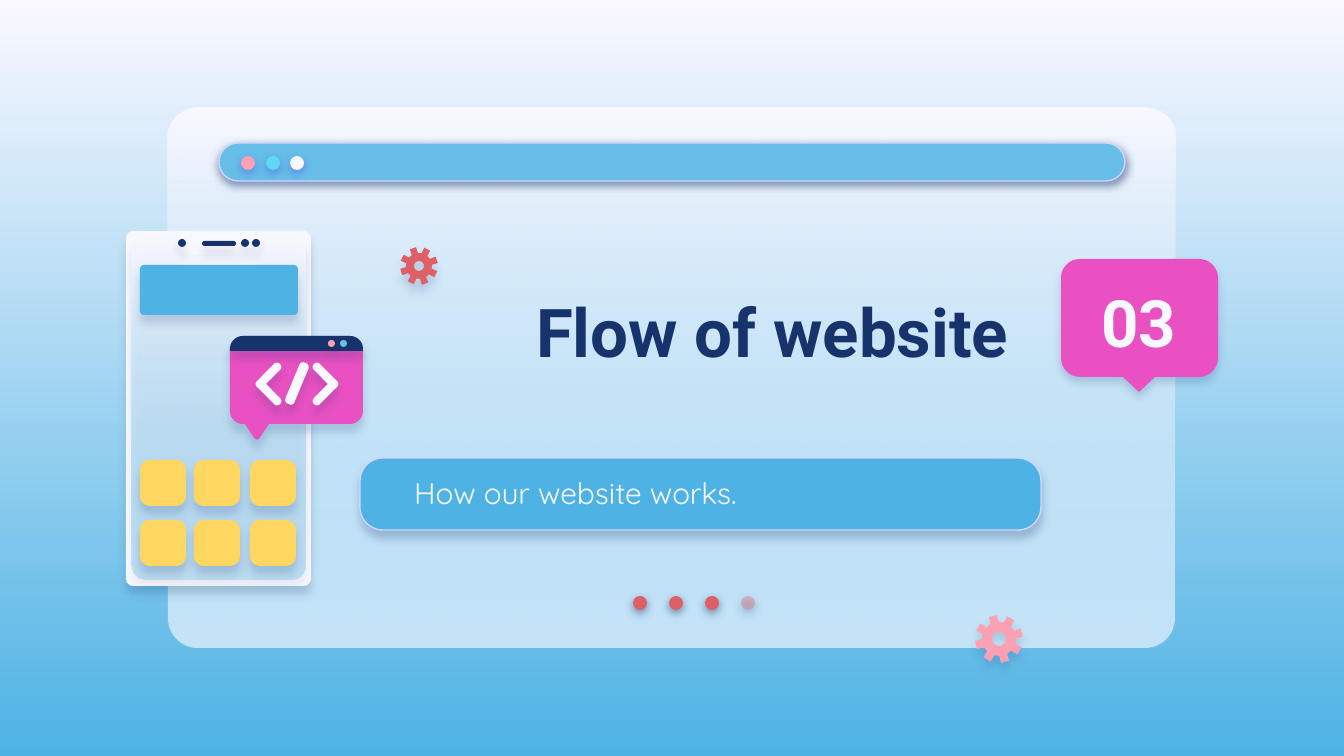
import math
from typing import NamedTuple, Optional

from lxml import etree
from pptx import Presentation
from pptx import util as u
from pptx.dml.color import RGBColor
from pptx.enum import shapes, text
from pptx.oxml.ns import qn

PX = 914400 / 134.4
NAVY, SKY, BLUE, SNOW = "17336B", "4EB3E4", "66BEE9", "F9F8FF"
MAGENTA, ROSE, RED, YELLOW, LILAC = "E951C2", "FDA0B4", "DF5F69", "FFD65F", "D2D6FF"


class Shadow(NamedTuple):
    color: str
    alpha: int
    distance: float


class Fade(NamedTuple):
    top: str
    bottom: str
    bottom_alpha: int = 100


class Box(NamedTuple):
    left: int
    top: int
    width: int
    height: int


class Corner(NamedTuple):
    x: int
    y: int
    radius: int = 0


class Label(NamedTuple):
    box: Box
    words: str
    size: int
    font: str
    color: str
    bold: bool
    align: text.PP_ALIGN
    anchor: text.MSO_ANCHOR


class Gear(NamedTuple):
    x: int
    y: int
    outer: int
    root: int
    hole: int
    turn: int
    color: str
    shadow: Shadow


BAR_GLOW = Shadow(NAVY, 50, 1.5)
DOT_GLOW = Shadow("5352EE", 50, 1.5)
PHONE_GLOW = Shadow(NAVY, 16, 4.5)
GLASS = Fade(SNOW, BLUE, 35)


def emu(px: float) -> int:
    return round(px * PX)


def rgb(color: str) -> RGBColor:
    return RGBColor.from_string(color)


def set_alpha(color_node, percent: int) -> None:
    etree.SubElement(color_node, qn("a:alpha"), val=str(percent * 1000))


def fade(fill, colors: Fade) -> None:
    fill.gradient()
    fill.gradient_angle = 270
    for stop, color in zip(fill.gradient_stops, colors[:2]):
        stop.color.rgb = rgb(color)
    if colors.bottom_alpha < 100:
        set_alpha(list(fill._xPr.iter(qn("a:srgbClr")))[-1], colors.bottom_alpha)


def finish(shape, fill, shadow: Optional[Shadow] = None, outline: str = "", alpha: int = 100) -> None:
    if isinstance(fill, Fade):
        fade(shape.fill, fill)
    else:
        shape.fill.solid()
        shape.fill.fore_color.rgb = rgb(fill)
        if alpha < 100:
            set_alpha(shape._element.spPr.find(".//" + qn("a:srgbClr")), alpha)
    if outline:
        shape.line.color.rgb = rgb(outline)
        shape.line.width = u.Pt(0.75)
    else:
        shape.line.fill.background()
    shape.shadow.inherit = False
    if shadow:
        effects = shape._element.spPr.find(qn("a:effectLst"))
        cast = etree.SubElement(effects, qn("a:outerShdw"), blurRad=str(u.Pt(4.5)),
                                dist=str(u.Pt(shadow.distance)), dir="5400000",
                                algn="bl", rotWithShape="0")
        set_alpha(etree.SubElement(cast, qn("a:srgbClr"), val=shadow.color), shadow.alpha)


def panel(slide, box: Box, radius: float, fill, shadow: Optional[Shadow] = None, outline: str = "") -> None:
    shape = slide.shapes.add_shape(shapes.MSO_SHAPE.ROUNDED_RECTANGLE, *map(emu, box))
    shape.adjustments[0] = min(0.5, radius / min(box.width, box.height))
    finish(shape, fill, shadow, outline)


def dot(slide, left: int, top: int, size: int, color: str, shadow: Optional[Shadow], alpha: int = 100) -> None:
    shape = slide.shapes.add_shape(shapes.MSO_SHAPE.OVAL, *map(emu, (left, top, size, size)))
    finish(shape, color, shadow, alpha=alpha)


def trace(slide, contours: list, fill, shadow: Shadow) -> None:
    rings = [[(emu(x), emu(y)) for x, y in ring] for ring in contours]
    builder = slide.shapes.build_freeform(*rings[0][0], scale=1.0)
    builder.add_line_segments(rings[0][1:], close=True)
    for ring in rings[1:]:
        builder.move_to(*ring[0])
        builder.add_line_segments(ring[1:], close=True)
    finish(builder.convert_to_shape(), fill, shadow)


def rounded(corners: list, steps: int = 8) -> list:
    points = []
    for i, corner in enumerate(corners):
        if not corner.radius:
            points.append((corner.x, corner.y))
            continue
        ends = []
        for near in (corners[i - 1], corners[(i + 1) % len(corners)]):
            share = corner.radius / math.hypot(near.x - corner.x, near.y - corner.y)
            ends.append(((near.x - corner.x) * share, (near.y - corner.y) * share))
        (ax, ay), (bx, by) = ends
        for step in range(steps + 1):
            t = step / steps
            a = (1 - t) ** 3 + 1.35 * t * (1 - t) ** 2
            b = t ** 3 + 1.35 * t ** 2 * (1 - t)
            points.append((corner.x + a * ax + b * bx, corner.y + a * ay + b * by))
    return points


def gear(slide, wheel: Gear) -> None:
    def polar(radius: int, degrees: float) -> tuple:
        angle = math.radians(degrees)
        return wheel.x + radius * math.sin(angle), wheel.y - radius * math.cos(angle)

    profile = ((wheel.root, -14), (wheel.outer, -10), (wheel.outer, 10), (wheel.root, 14))
    teeth = [polar(radius, wheel.turn + 45 * tooth + offset)
             for tooth in range(8) for radius, offset in profile]
    hole = [polar(wheel.hole, -15 * step) for step in range(24)]
    trace(slide, [teeth, hole], wheel.color, wheel.shadow)


def write(slide, label: Label) -> None:
    frame = slide.shapes.add_textbox(*map(emu, label.box)).text_frame
    frame.word_wrap = True
    frame.vertical_anchor = label.anchor
    frame.margin_left = frame.margin_right = frame.margin_top = frame.margin_bottom = u.Inches(0.1)
    paragraph = frame.paragraphs[0]
    paragraph.alignment = label.align
    run = paragraph.add_run()
    run.text = label.words
    run.font.size, run.font.name, run.font.bold = u.Pt(label.size), label.font, label.bold
    run.font.color.rgb = rgb(label.color)


def browser(slide) -> None:
    window = Box(168, 108, 1007, 540)
    for fill in (SNOW, GLASS):
        panel(slide, window, 30, fill)
    panel(slide, Box(219, 143, 906, 38), 19, BLUE, BAR_GLOW, LILAC)
    for left, color in zip((241, 266, 290), (ROSE, "60D8F4", SNOW)):
        dot(slide, left, 156, 14, color, DOT_GLOW)
    for page in range(3):
        dot(slide, 633 + 36 * page, 596, 14, RED, BAR_GLOW)
    dot(slide, 741, 596, 14, "E27B83", BAR_GLOW, 44)


def phone(slide) -> None:
    panel(slide, Box(126, 231, 185, 355), 7, SNOW, PHONE_GLOW)
    screen = [Corner(132, 237, 15), Corner(173, 237), Corner(173, 254, 9), Corner(265, 254, 9),
              Corner(265, 237), Corner(306, 237, 15), Corner(306, 580, 15), Corner(132, 580, 15)]
    trace(slide, [rounded(screen)], GLASS, PHONE_GLOW)
    for left in (178, 241, 252):
        dot(slide, left, 239, 8, NAVY, PHONE_GLOW)
    panel(slide, Box(202, 241, 34, 5), 3, NAVY, PHONE_GLOW)
    panel(slide, Box(140, 265, 158, 50), 4, SKY, PHONE_GLOW)
    for top in (460, 520):
        for left in (140, 194, 250):
            panel(slide, Box(left, top, 46, 46), 10, YELLOW, PHONE_GLOW)


def code_bubble(slide) -> None:
    bubble = [Corner(230, 336, 13), Corner(363, 336, 13), Corner(363, 424, 13), Corner(269, 424),
              Corner(257, 442, 5), Corner(245, 424), Corner(230, 424, 13)]
    header = [Corner(230, 336, 13), Corner(363, 336, 13), Corner(363, 351), Corner(230, 351)]
    trace(slide, [rounded(bubble)], MAGENTA, PHONE_GLOW)
    trace(slide, [rounded(header)], NAVY, PHONE_GLOW)
    dot(slide, 328, 340, 7, ROSE, PHONE_GLOW)
    dot(slide, 340, 340, 7, BLUE, None)
    opening = [Corner(277, 361, 4), Corner(254, 384, 4), Corner(277, 407, 4),
               Corner(283, 401, 4), Corner(266, 384), Corner(283, 367, 4)]
    slash = [Corner(301, 361, 4), Corner(310, 365, 4), Corner(293, 406, 4), Corner(284, 402, 4)]
    closing = [Corner(594 - x, y, radius) for x, y, radius in opening]
    for glyph in (opening, slash, closing):
        trace(slide, [rounded(glyph)], SNOW, PHONE_GLOW)


def main() -> None:
    deck = Presentation()
    deck.slide_width, deck.slide_height = emu(1344), emu(756)
    slide = deck.slides.add_slide(deck.slide_layouts[6])
    fade(slide.background.fill, Fade(SNOW, SKY))
    browser(slide)
    number_bubble = [Corner(1061, 259, 19), Corner(1218, 259, 19), Corner(1218, 377, 19),
                     Corner(1155, 377), Corner(1139, 392), Corner(1123, 377), Corner(1061, 377, 19)]
    trace(slide, [rounded(number_bubble)], MAGENTA, Shadow(NAVY, 19, 3))
    panel(slide, Box(360, 458, 681, 72), 23, SKY, Shadow(NAVY, 24, 3.8), LILAC)
    align, anchor = text.PP_ALIGN, text.MSO_ANCHOR
    for label in (
        Label(Box(401, 239, 621, 184), "Flow of website", 36, "Roboto", NAVY, True, align.RIGHT, anchor.MIDDLE),
        Label(Box(401, 458, 621, 70), "How our website works.", 16, "Quicksand", SNOW, False, align.LEFT, anchor.MIDDLE),
        Label(Box(1068, 269, 142, 105), "03", 35, "Roboto", SNOW, True, align.CENTER, anchor.BOTTOM),
    ):
        write(slide, label)
    phone(slide)
    code_bubble(slide)
    gear(slide, Gear(419, 266, 19, 13, 5, -19, RED, PHONE_GLOW))
    gear(slide, Gear(999, 639, 24, 17, 7, -15, ROSE, Shadow(NAVY, 15, 3.8)))
    deck.save("out.pptx")


if __name__ == "__main__":
    main()
